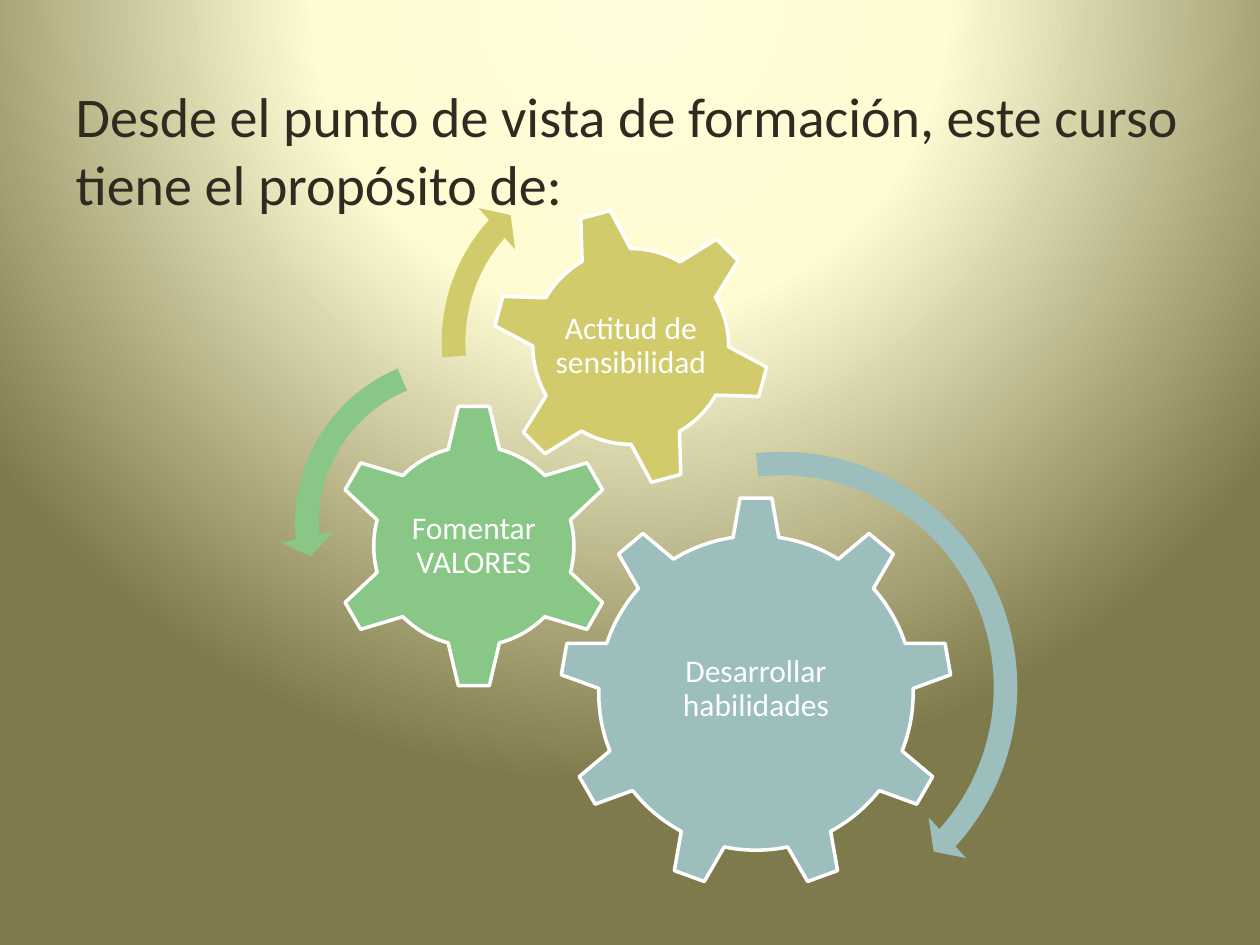
from pptx import Presentation
from pptx.dml.color import RGBColor
from pptx.enum.shapes import MSO_SHAPE as Kind
from pptx.enum.text import MSO_ANCHOR as Anchor, MSO_AUTO_SIZE as Fit, PP_ALIGN as Align
from pptx.oxml import parse_xml
from pptx.util import Pt

# Content
FONT = "Calibri"
BLUE, GREEN, GOLD = "9CBEBD", "88C785", "D2CB6C"
INK, WHITE = "2F2B20", "FFFFFF"
TITLE = "Desde el punto de vista de formación, este curso tiene el propósito de:"
STOPS = [(0, "FFFCDA"), (40, "FFFBD3"), (100, "7E7A4B")]

# Gears: kind, centre x, centre y, size, turn, colour, text, text width, height, rise
GEARS = [
    (Kind.GEAR_9, 432, 396, 224.6, 0, BLUE, "Desarrollar habilidades", 134, 115, 2),
    (Kind.GEAR_6, 270.8, 312.1, 163.4, 0, GREEN, "Fomentar VALORES", 81.4, 80.6, 0),
    (Kind.GEAR_6, 360.5, 198, 159.8, 345, GOLD, "Actitud de sensibilidad", 96, 90, 0),
]
# Arrows: kind, left, top, size, colour, adjustments
ARROWS = [
    (Kind.CIRCULAR_ARROW, 303.1, 249.1, 287.3, BLUE,
     (0.047, 2.99, 25.356, 158.199, 0.055)),
    (Kind.LEFT_CIRCULAR_ARROW, 159.8, 194.4, 208.8, GREEN,
     (0.065, 4.3, 104.891, 148.378, 0.075)),
    (Kind.CIRCULAR_ARROW, 243.4, 82.8, 225.4, GOLD,
     (0.06, 3.941, 133.138, 105.082, 0.07)),
]


def rgb(code):
    return RGBColor.from_string(code)


def style(para, size, color, align):
    para.font.name, para.font.size = FONT, Pt(size)
    para.font.color.rgb = rgb(color)
    para.alignment = align


def draw(kind, left, top, size, color):
    shape = group.shapes.add_shape(kind, Pt(left), Pt(top), Pt(size), Pt(size))
    shape.shadow.inherit = False
    shape.fill.solid()
    shape.fill.fore_color.rgb = rgb(color)
    shape.line.fill.background()
    return shape


def label(text, mid_x, mid_y, wide, high):
    box = group.shapes.add_textbox(
        Pt(mid_x - wide / 2), Pt(mid_y - high / 2), Pt(wide), Pt(high))
    frame = box.text_frame
    frame.word_wrap = True
    frame.vertical_anchor = Anchor.MIDDLE
    frame.margin_left = frame.margin_right = Pt(2)
    frame.margin_top = frame.margin_bottom = Pt(2)
    para = frame.paragraphs[0]
    para.text = text
    style(para, 18, WHITE, Align.CENTER)
    para.line_spacing, para.space_after = 0.9, Pt(6.3)


deck = Presentation()
deck.slide_width, deck.slide_height = Pt(720), Pt(540)
slide = deck.slides.add_slide(deck.slide_layouts[5])

# Background glow
stops = "".join(f'<a:gs pos="{at * 1000}"><a:srgbClr val="{code}"/></a:gs>'
                for at, code in STOPS)
slide._element.cSld.insert(0, parse_xml(
    '<p:bg xmlns:p="http://schemas.openxmlformats.org/presentationml/2006/main"'
    ' xmlns:a="http://schemas.openxmlformats.org/drawingml/2006/main">'
    f'<p:bgPr><a:gradFill rotWithShape="1"><a:gsLst>{stops}</a:gsLst>'
    '<a:path path="circle"><a:fillToRect l="50000" t="-80000" r="50000" b="180000"/>'
    '</a:path></a:gradFill><a:effectLst/></p:bgPr></p:bg>'))

# Title
title = slide.shapes.title
title.left, title.top, title.width, title.height = Pt(36), Pt(43.2), Pt(648), Pt(439.2)
title.text_frame.text = TITLE
title.text_frame.auto_size = Fit.NONE
title.text_frame.vertical_anchor = Anchor.TOP
style(title.text_frame.paragraphs[0], 32, INK, Align.LEFT)

# Gears with their labels
group = slide.shapes.add_group_shape()
for kind, mid_x, mid_y, size, turn, color, text, wide, high, rise in GEARS:
    gear = draw(kind, mid_x - size / 2, mid_y - size / 2, size, color)
    gear.rotation = turn
    gear.line.color.rgb, gear.line.width = rgb(WHITE), Pt(2)
    label(text, mid_x, mid_y - rise, wide, high)

# Curved arrows
for kind, left, top, size, color, bends in ARROWS:
    arrow = draw(kind, left, top, size, color)
    for i, bend in enumerate(bends):
        arrow.adjustments[i] = bend

deck.save("out.pptx")
